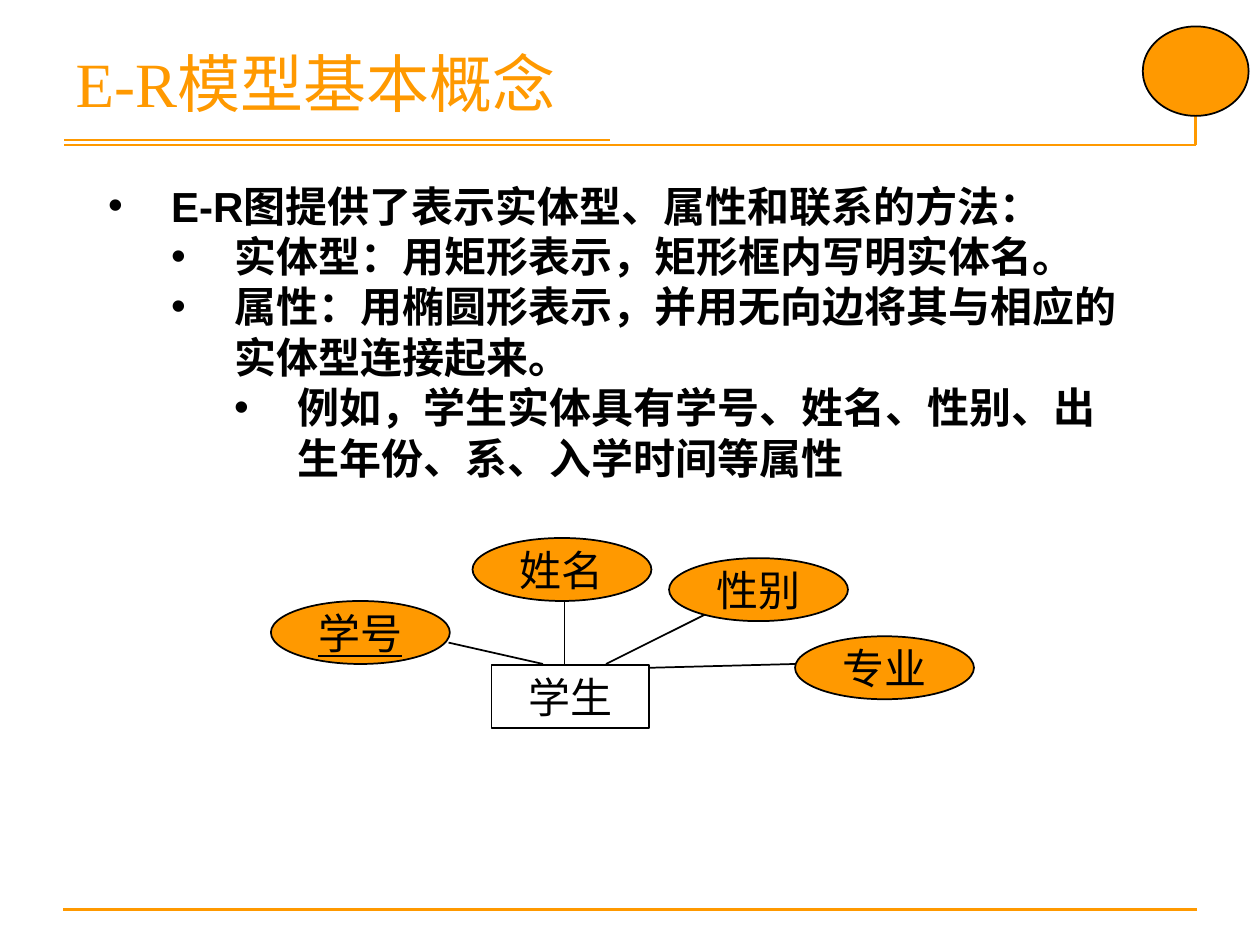
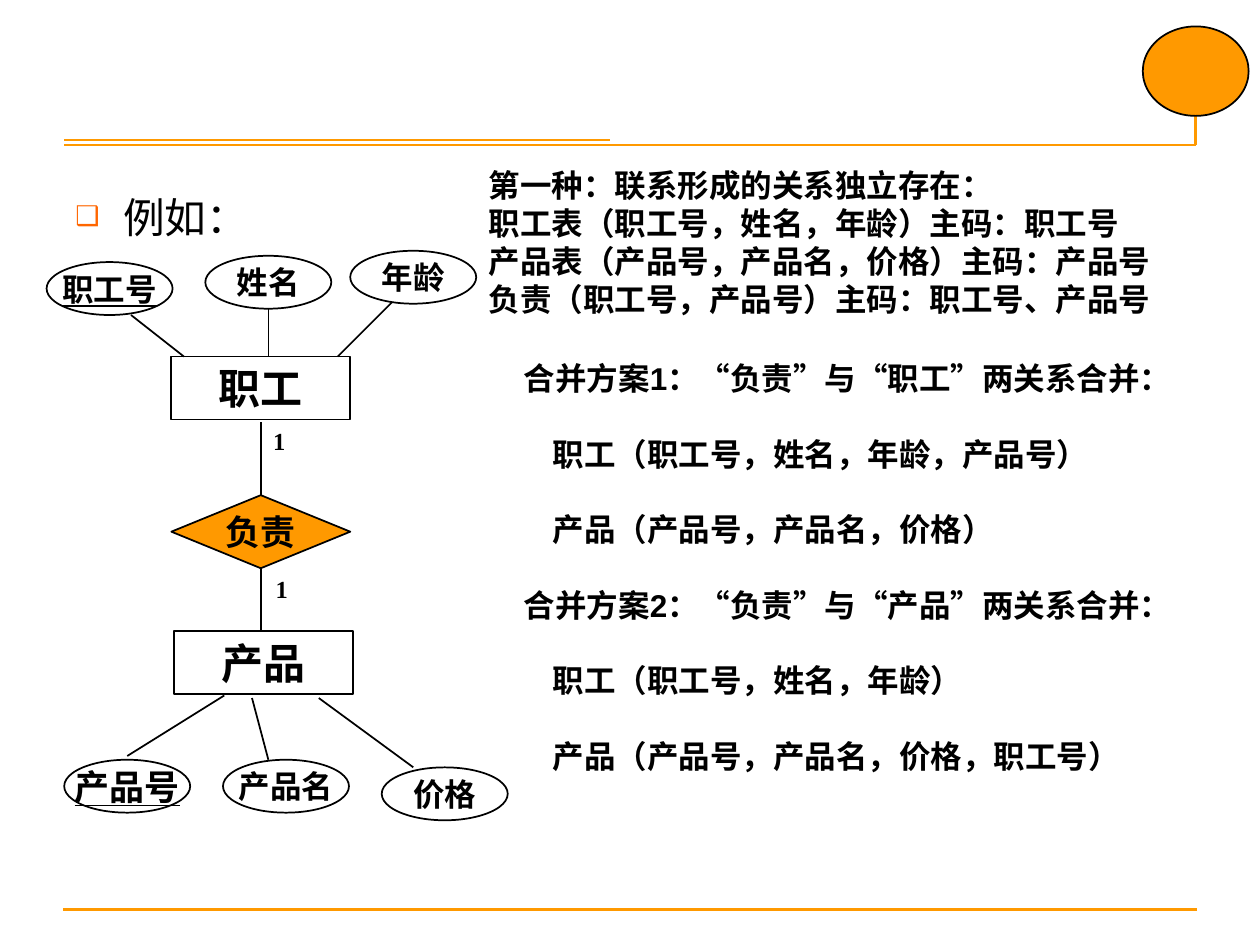
from lxml.etree import SubElement
from pptx import Presentation
from pptx.dml.color import RGBColor
from pptx.enum.lang import MSO_LANGUAGE_ID
from pptx.enum.shapes import MSO_CONNECTOR, MSO_SHAPE
from pptx.enum.text import MSO_ANCHOR, PP_ALIGN
from pptx.oxml.ns import qn
from pptx.util import Inches, Pt

COLORS = {"accent": "FF9900", "ink": "000000", "bullet": "FF6600"}
SERIF, SANS = "Times New Roman", "Arial"
LAYOUT_TITLE_ONLY, LAYOUT_BLANK = 5, 6

# Frame shared by both slides: line ends as (x1, y1, x2, y2)
FRAME_LINES = [
    (0.5, 7.22, 9.5, 7.22),
    (0.51, 1.15, 9.49, 1.15),
    (9.49, 0.28, 9.49, 1.15),
    (0.51, 1.11, 4.84, 1.11),
]
CORNER_DOT = (9.07, 0.21, 0.84, 0.71)

# Slide 1
CONCEPT_TITLE = "E-R模型基本概念"
CONCEPT_POINTS = [  # (level, text)
    (0, "E-R图提供了表示实体型、属性和联系的方法："),
    (1, "实体型：用矩形表示，矩形框内写明实体名。"),
    (1, "属性：用椭圆形表示，并用无向边将其与相应的实体型连接起来。"),
    (2, "例如，学生实体具有学号、姓名、性别、出生年份、系、入学时间等属性"),
]
STUDENT = ("学生", (3.9, 5.28, 1.25, 0.5))
STUDENT_ATTRIBUTES = [  # (text, left, top, is key)
    ("学号", 2.15, 4.77, True),
    ("姓名", 3.75, 4.27, False),
    ("性别", 5.31, 4.43, False),
    ("专业", 6.31, 5.05, False),
]
STUDENT_EDGES = [
    (4.31, 5.27, 3.56, 5.1),
    (4.48, 5.27, 4.48, 4.77),
    (4.81, 5.27, 5.65, 4.85),
    (5.15, 5.3, 6.31, 5.27),
]

# Slide 2
EXAMPLE_LEAD = "例如："
ENTITIES = [("职工", 1.36, 2.83), ("产品", 1.38, 5.01)]
RELATIONSHIP = ("负责", (1.36, 3.93, 1.42, 0.58))
CARDINALITIES = [("1", 2.07, 3.33), ("1", 2.09, 4.51)]
ENTITY_ATTRIBUTES = [  # (text, left, top, size, is key)
    ("职工号", 0.37, 2.08, 18, True),
    ("姓名", 1.63, 2.03, 18, False),
    ("年龄", 2.78, 1.99, 18, False),
    ("产品号", 0.51, 6.03, 20, True),
    ("产品名", 1.77, 6.03, 18, False),
    ("价格", 3.03, 6.09, 18, False),
]
EXAMPLE_EDGES = [
    (1.04, 2.5, 1.46, 2.83),
    (2.13, 2.45, 2.13, 2.83),
    (3.11, 2.4, 2.68, 2.83),
    (2.07, 3.35, 2.07, 3.93),
    (2.07, 4.51, 2.07, 5.01),
    (2, 5.54, 2.13, 6.03),
    (1.78, 5.52, 1.01, 6),
    (2.53, 5.54, 3.28, 6.09),
]
SEPARATE_TABLES = [
    "第一种：联系形成的关系独立存在：",
    "职工表（职工号，姓名，年龄）主码：职工号",
    "产品表（产品号，产品名，价格）主码：产品号",
    "负责（职工号，产品号）主码：职工号、产品号",
]
MERGE_PLANS = [
    ("合并方案1：“负责”与“职工”两关系合并：",
     ["职工（职工号，姓名，年龄，产品号）", "产品（产品号，产品名，价格）"]),
    ("合并方案2：“负责”与“产品”两关系合并：",
     ["职工（职工号，姓名，年龄）", "产品（产品号，产品名，价格，职工号）"]),
]


def rgb(name):
    return RGBColor.from_string(COLORS[name])


def place(shape, box):
    shape.left, shape.top, shape.width, shape.height = map(Inches, box)


def set_frame(frame, anchor=MSO_ANCHOR.TOP, wrap=True):
    frame.word_wrap = wrap
    frame.vertical_anchor = anchor
    frame.margin_left = frame.margin_right = Inches(0.1)
    frame.margin_top = frame.margin_bottom = Inches(0.05)
    return frame


def add_run(paragraph, text, size, face, color="ink", bold=False, underline=False):
    run = paragraph.add_run()
    run.text = text
    font = run.font
    font.size, font.name, font.bold = Pt(size), face, bold
    font.underline = underline
    font.color.rgb = rgb(color)
    font.language_id = MSO_LANGUAGE_ID.SIMPLIFIED_CHINESE


def next_paragraph(frame):
    first = frame.paragraphs[0]
    return frame.add_paragraph() if first.runs else first


def set_indent(paragraph, left, hanging=0):
    properties = paragraph._p.get_or_add_pPr()
    properties.set("marL", str(Inches(left)))
    properties.set("indent", str(-Inches(hanging)))
    return properties


def set_bullet(paragraph, char, color, left, hanging, percent=100):
    properties = set_indent(paragraph, left, hanging)
    bullet_color = SubElement(properties, qn("a:buClr"))
    SubElement(bullet_color, qn("a:srgbClr"), val=COLORS[color])
    SubElement(properties, qn("a:buSzPct"), val=str(percent * 1000))
    SubElement(properties, qn("a:buFont"), typeface=SANS)
    SubElement(properties, qn("a:buChar"), char=char)


def add_lines(slide, ends, color="ink", width=1):
    for line_ends in ends:
        line = slide.shapes.add_connector(MSO_CONNECTOR.STRAIGHT, *map(Inches, line_ends))
        line.line.color.rgb = rgb(color)
        line.line.width = Pt(width)
        SubElement(line._element.spPr, qn("a:effectLst"))


def add_text_box(slide, box):
    return set_frame(slide.shapes.add_textbox(*map(Inches, box)).text_frame)


def add_outlined(slide, kind, box, filled=False):
    shape = slide.shapes.add_shape(kind, *map(Inches, box))
    shape.shadow.inherit = False
    if filled:
        shape.fill.solid()
        shape.fill.fore_color.rgb = rgb("accent")
    else:
        shape.fill.background()
    shape.line.color.rgb = rgb("ink")
    shape.line.width = Pt(1)
    return shape


def add_node(slide, kind, box, text, size, filled=False, **style):
    """Add an outlined shape with centred text; rectangles keep it at the top."""
    node = add_outlined(slide, kind, box, filled)
    is_entity = kind == MSO_SHAPE.RECTANGLE
    anchor = MSO_ANCHOR.TOP if is_entity else MSO_ANCHOR.MIDDLE
    paragraph = set_frame(node.text_frame, anchor, wrap=is_entity).paragraphs[0]
    paragraph.alignment = PP_ALIGN.CENTER
    add_run(paragraph, text, size, SERIF, **style)


def add_slide(deck, layout):
    slide = deck.slides.add_slide(deck.slide_layouts[layout])
    add_lines(slide, FRAME_LINES, "accent", 1.5)
    add_outlined(slide, MSO_SHAPE.OVAL, CORNER_DOT, filled=True)
    return slide


def build_concept_slide(deck):
    slide = add_slide(deck, LAYOUT_TITLE_ONLY)
    title = slide.shapes.title
    place(title, (0.5, 0.3, 9, 0.85))
    heading = set_frame(title.text_frame).paragraphs[0]
    heading.alignment = PP_ALIGN.LEFT
    add_run(heading, CONCEPT_TITLE, 36, SERIF, "accent")

    name, box = STUDENT
    add_node(slide, MSO_SHAPE.RECTANGLE, box, name, 24)
    add_lines(slide, STUDENT_EDGES)
    for name, left, top, is_key in STUDENT_ATTRIBUTES:
        add_node(slide, MSO_SHAPE.OVAL, (left, top, 1.42, 0.5), name, 24,
                 filled=True, underline=is_key)

    points = add_text_box(slide, (0.76, 1.38, 8.35, 2.5))
    for level, text in CONCEPT_POINTS:
        paragraph = next_paragraph(points)
        paragraph.level = level
        set_bullet(paragraph, "•", "ink", 0.5 * (level + 1), 0.5)
        add_run(paragraph, text, 24, SANS, bold=True)


def build_example_slide(deck):
    slide = add_slide(deck, LAYOUT_BLANK)
    lead = add_text_box(slide, (0.5, 1.47, 9, 0.52)).paragraphs[0]
    set_bullet(lead, "❑", "bullet", 0.38, 0.38, 65)
    add_run(lead, EXAMPLE_LEAD, 23.8, SANS)

    for name, left, top in ENTITIES:
        add_node(slide, MSO_SHAPE.RECTANGLE, (left, top, 1.42, 0.5), name, 24, bold=True)
    for name, left, top, size, is_key in ENTITY_ATTRIBUTES:
        add_node(slide, MSO_SHAPE.OVAL, (left, top, 1, 0.42), name, size,
                 bold=True, underline=is_key)
    name, box = RELATIONSHIP
    add_node(slide, MSO_SHAPE.FLOWCHART_DECISION, box, name, 20, filled=True, bold=True)
    add_lines(slide, EXAMPLE_EDGES)
    for count, left, top in CARDINALITIES:
        label = add_text_box(slide, (left, top, 0.33, 0.34))
        add_run(label.paragraphs[0], count, 14, SERIF, bold=True)

    tables = add_text_box(slide, (3.78, 1.27, 6.03, 1.3))
    for text in SEPARATE_TABLES:
        add_run(next_paragraph(tables), text, 18, SANS, bold=True)

    plans = add_text_box(slide, (4.06, 2.8, 5.77, 3.4))
    for plan, relations in MERGE_PLANS:
        for text in [plan, *relations]:
            paragraph = next_paragraph(plans)
            set_indent(paragraph, 0 if text == plan else 0.23)
            add_run(paragraph, text, 18, SANS, bold=True)
    for paragraph in plans.paragraphs[1:]:
        paragraph.space_before = Pt(21.6)


def main():
    deck = Presentation()
    deck.slide_width, deck.slide_height = Inches(10), Inches(7.5)
    build_concept_slide(deck)
    build_example_slide(deck)
    deck.save("out.pptx")


if __name__ == "__main__":
    main()
